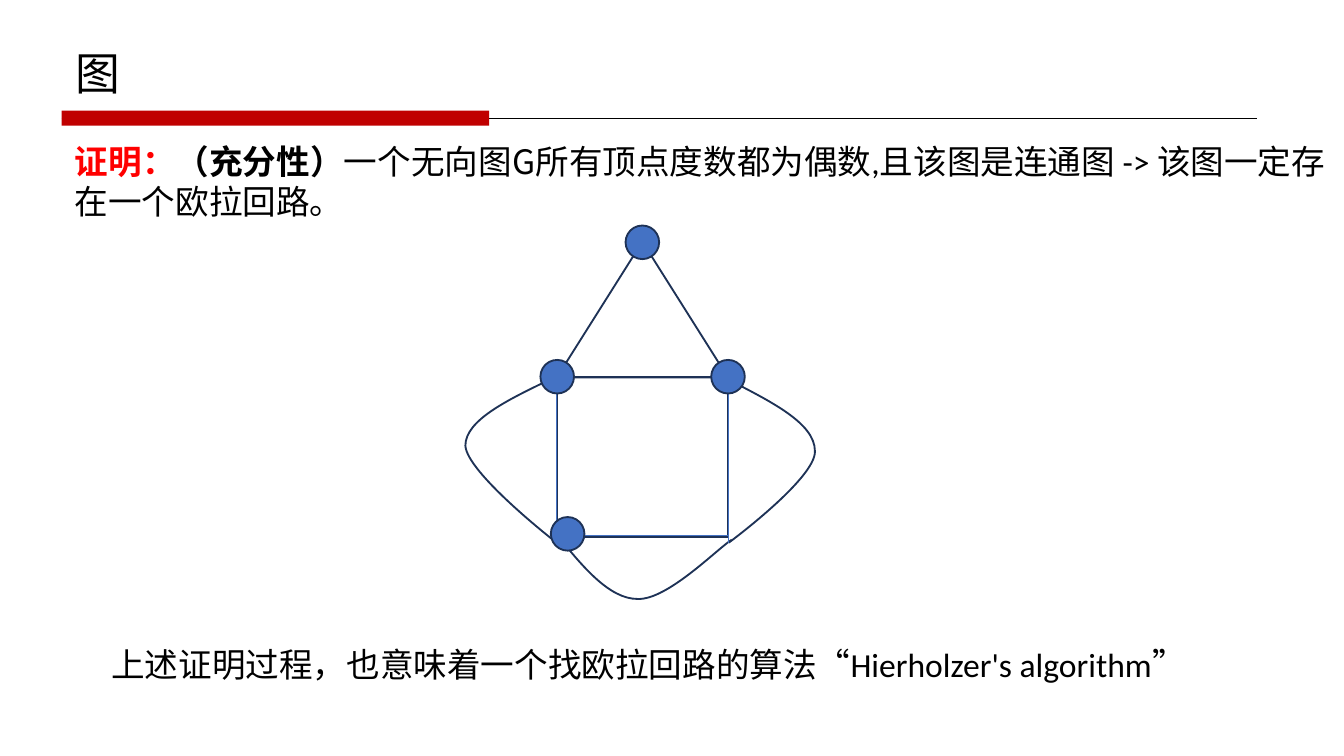
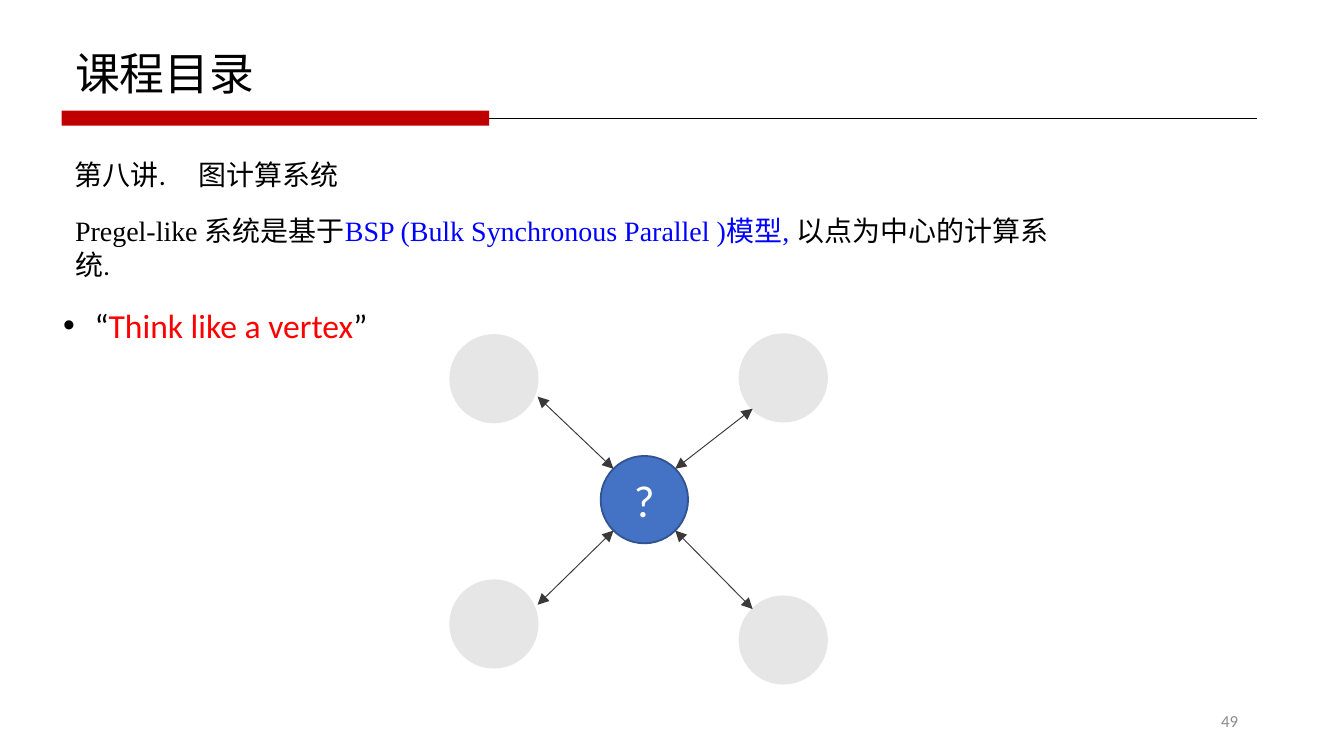
from pptx import Presentation
from pptx.dml.color import RGBColor
from pptx.enum.shapes import MSO_CONNECTOR, MSO_SHAPE
from pptx.enum.text import MSO_ANCHOR, MSO_AUTO_SIZE, PP_ALIGN
from pptx.oxml.ns import qn
from pptx.util import Pt
from lxml.etree import SubElement

COLORS = {
    "black": "000000", "white": "FFFFFF", "band": "C00000", "red": "FF0000",
    "link": "0000FF", "vertex": "4472C4", "edge": "1E3256", "center_edge": "325491",
    "neighbor": "E7E6E6", "arrow": "3B3838", "number": "8C8C8C",
}
VERTEX_SIZE = 18
NODE_SIZE = 46.8


def color(name):
    """Return the named colour."""
    return RGBColor.from_string(COLORS[name])


def write(frame, *spans, size=18, font="Calibri", ink="black", bold=False,
          align=PP_ALIGN.LEFT, anchor=MSO_ANCHOR.TOP, wrap=True,
          bullet=None, indent=0, tab=None):
    """Fill a frame with one paragraph of spans, each a (text, overrides) pair."""
    frame.word_wrap = wrap
    frame.vertical_anchor = anchor
    para = frame.paragraphs[0]
    para.alignment = align
    properties = para._p.get_or_add_pPr()
    if bullet:
        properties.set("marL", str(Pt(indent)))
        properties.set("indent", str(-Pt(indent)))
        SubElement(properties, qn("a:buFont"), typeface="Arial")
        SubElement(properties, qn("a:buChar"), char=bullet)
    if tab:
        stops = SubElement(properties, qn("a:tabLst"))
        SubElement(stops, qn("a:tab"), pos=str(Pt(tab)), algn="l")
    for text, changes in spans:
        style = {"size": size, "font": font, "ink": ink, "bold": bold} | changes
        span = para.add_run()
        span.text = text
        span.font.size = Pt(style["size"])
        span.font.bold = style["bold"]
        span.font.color.rgb = color(style["ink"])
        span.font.name = style["font"]


def add_text(page, box, *spans, grow=True, **style):
    """Add a text box holding one paragraph."""
    frame = page.shapes.add_textbox(*map(Pt, box)).text_frame
    write(frame, *spans, **style)
    if grow:
        frame.auto_size = MSO_AUTO_SIZE.SHAPE_TO_FIT_TEXT


def paint(shape, fill=None, line=None):
    """Set fill and outline, leaving out whichever is not named."""
    shape.shadow.inherit = False
    if fill:
        shape.fill.solid()
        shape.fill.fore_color.rgb = color(fill)
    else:
        shape.fill.background()
    if line:
        shape.line.color.rgb = color(line)
        shape.line.width = Pt(1)
    else:
        shape.line.fill.background()


def add_shape(page, kind, box, fill=None, line=None):
    """Add a painted preset shape."""
    shape = page.shapes.add_shape(kind, *map(Pt, box))
    paint(shape, fill, line)
    return shape


def add_line(page, start, end, ink, arrows=False):
    """Add a thin straight connector, with arrowheads at both ends on request."""
    line = page.shapes.add_connector(MSO_CONNECTOR.STRAIGHT, *map(Pt, (*start, *end)))
    line.line.color.rgb = color(ink)
    line.line.width = Pt(0.5)
    if arrows:
        outline = line.line._get_or_add_ln()
        for tag in ("a:headEnd", "a:tailEnd"):
            SubElement(outline, qn(tag), type="triangle")
    SubElement(line._element.spPr, qn("a:effectLst"))


def add_curve(page, points, line):
    """Add an open outline whose points are chained cubic controls."""
    start, *controls = [(Pt(x), Pt(y)) for x, y in points]
    builder = page.shapes.build_freeform(*start, scale=1.0)
    builder.add_line_segments(controls, close=False)
    shape = builder.convert_to_shape()
    segments = list(shape._element.iter(qn("a:lnTo")))
    track = segments[0].getparent()
    for first in range(0, len(segments), 3):
        cubic = SubElement(track, qn("a:cubicBezTo"))
        for segment in segments[first:first + 3]:
            cubic.append(segment[0])
            track.remove(segment)
    paint(shape, line=line)


def add_page(deck, title, width):
    """Add a slide with its title, rule and red band."""
    page = deck.slides.add_slide(deck.slide_layouts[5])
    holder = page.shapes.title
    holder.left, holder.top, holder.width, holder.height = map(Pt, (33, 21, width, 36))
    write(holder.text_frame, (title, {}), size=24, font="Arial", wrap=False)
    holder.text_frame.auto_size = MSO_AUTO_SIZE.NONE
    add_line(page, (33, 63.4), (673.3, 63.4), "black")
    add_shape(page, MSO_SHAPE.RECTANGLE, (33, 59.3, 229, 8), "band")
    return page


def draw_euler_graph(page, left, top):
    """Draw the graph whose vertices all have even degree."""
    def place(*points):
        return [(left + x, top + y) for x, y in points]

    for kind, y, height in ((MSO_SHAPE.RECTANGLE, 81.4, 85.5),
                            (MSO_SHAPE.ISOSCELES_TRIANGLE, 8.7, 72.7)):
        add_shape(page, kind, (left + 49, top + y, 91.7, height), line="edge")
    curves = (
        ((49, 165.6), (62.8, 182.8), (77.2, 200.1), (92.3, 200.1),
         (108.1, 200.8), (134.8, 173.4), (142.7, 168.4)),
        ((139.8, 82), (163.6, 94.3), (187.3, 105.8), (187.3, 120.9),
         (188, 135.3), (141.2, 169.9), (141.2, 169.9)),
        ((44.8, 82.8), (22.4, 93.6), (0, 104.4), (0, 118),
         (0.8, 132.4), (46.9, 168.4), (46.9, 168.4)),
    )
    for curve in curves:
        add_curve(page, place(*curve), "edge")
    for chord in (((49, 81.4), (49, 164.8)), ((141, 81.4), (141, 169.9)),
                  ((49, 165.9), (141, 165.9))):
        add_line(page, *place(*chord), "vertex")
    for corner in place((85.8, 0), (40.2, 72), (131.7, 72), (45.8, 156.2)):
        add_shape(page, MSO_SHAPE.OVAL, (*corner, VERTEX_SIZE, VERTEX_SIZE),
                  "vertex", "edge")


def draw_vertex_messages(page, left, top):
    """Draw a central vertex exchanging messages with four neighbours."""
    center_x, center_y = left + 104, top + 88.4
    radius = NODE_SIZE / 2
    center = add_shape(page, MSO_SHAPE.OVAL,
                       (center_x - radius, center_y - radius, NODE_SIZE, NODE_SIZE),
                       "vertex", "center_edge")
    write(center.text_frame, ("?", {}), size=24, ink="white",
          align=PP_ALIGN.CENTER, anchor=MSO_ANCHOR.MIDDLE)
    neighbors = (
        (0, 0.2, -1, -1, (46.8, 33.2)), (155, -0.2, 1, -1, (162, 39.7)),
        (0, 131.6, -1, 1, (46.8, 144.7)), (155, 140.2, 1, 1, (162, 147)),
    )
    reach = radius * 0.5 ** 0.5
    for x, y, side, level, tip in neighbors:
        add_shape(page, MSO_SHAPE.OVAL, (left + x, top + y, NODE_SIZE, NODE_SIZE),
                  "neighbor", "neighbor")
        add_line(page, (center_x + side * reach, center_y + level * reach),
                 (left + tip[0], top + tip[1]), "arrow", arrows=True)


def build_proof(deck):
    """Build the slide with the sufficiency proof."""
    page = add_page(deck, "图", 38.6)
    add_text(page, (33, 72, 684, 72.7),
             ("证明：", {"font": "Noto Sans CJK SC", "ink": "red", "bold": True}),
             ("（充分性）", {"font": "Noto Sans CJK SC", "bold": True}),
             ("一个无向图G", {"font": "Noto Sans CJK SC"}),
             ("所有顶点度数都为偶数,且该图是连通图 -> 该图一定存在一个欧拉回路。", {}),
             align=PP_ALIGN.JUSTIFY)
    draw_euler_graph(page, 249.3, 120.8)
    add_text(page, (52.6, 341.3, 631.4, 29),
             ("上述证明过程，也意味着一个找欧拉回路的算法“Hierholzer's algorithm”", {}))


def build_contents(deck):
    """Build the slide on vertex-centred graph systems."""
    page = add_page(deck, "课程目录", 111.4)
    add_text(page, (508.3, 375.3, 162, 21.6), ("49", {}), size=9, ink="number",
             align=PP_ALIGN.RIGHT, anchor=MSO_ANCHOR.MIDDLE, grow=False)
    add_text(page, (33, 80.6, 353, 25.2), ("第八讲.\t图计算系统", {}), size=15, tab=66.3)
    add_text(page, (33.1, 110.9, 545.8, 44), ("Pregel-like 系统是基于", {}),
             ("BSP (Bulk Synchronous Parallel )模型, ", {"ink": "link"}),
             ("以点为中心的计算系统", {}), (".", {"font": "Roboto"}),
             size=15, font="Times New Roman")
    add_text(page, (26.7, 159.8, 393, 29), ("“", {}),
             ("Think like a vertex", {"ink": "red"}), ("”", {}),
             bullet="•", indent=16.9)
    draw_vertex_messages(page, 241.2, 179.3)


def main():
    """Build and save the deck."""
    deck = Presentation()
    deck.slide_width, deck.slide_height = Pt(720), Pt(405)
    build_proof(deck)
    build_contents(deck)
    deck.save("out.pptx")


if __name__ == "__main__":
    main()
